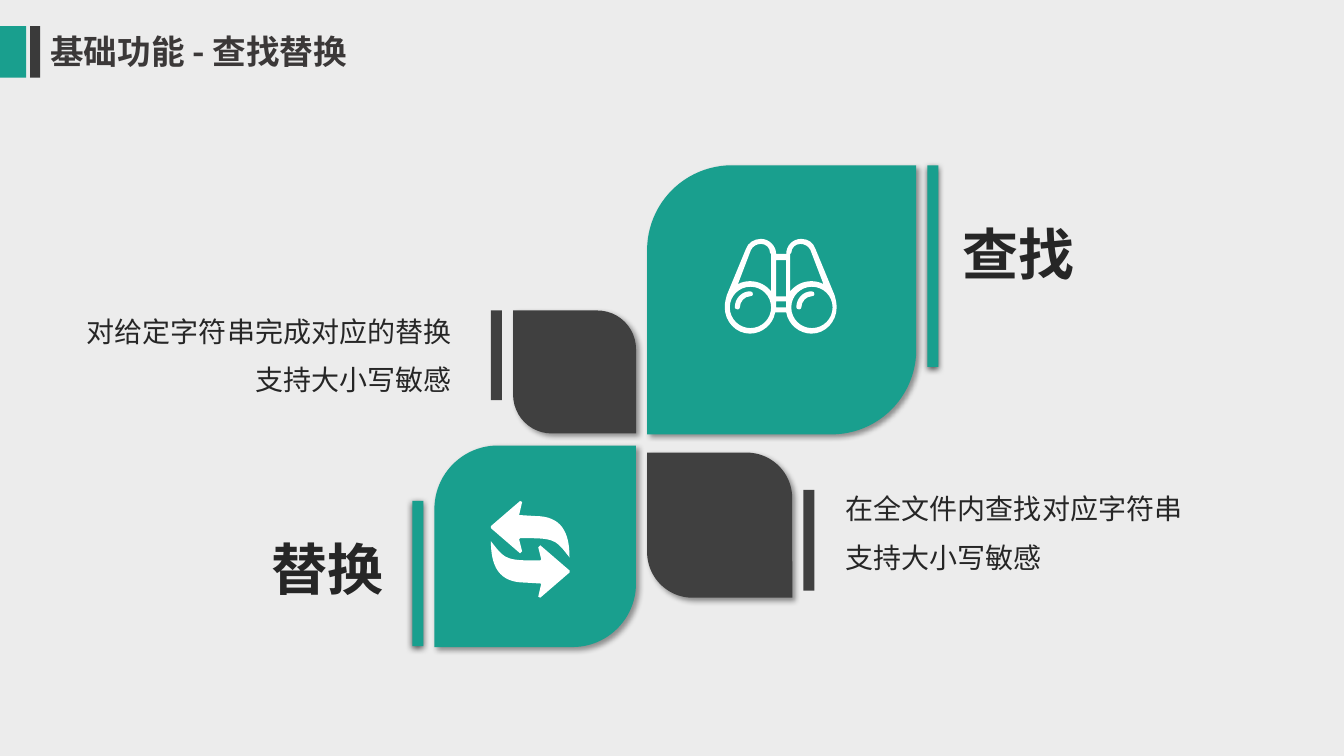
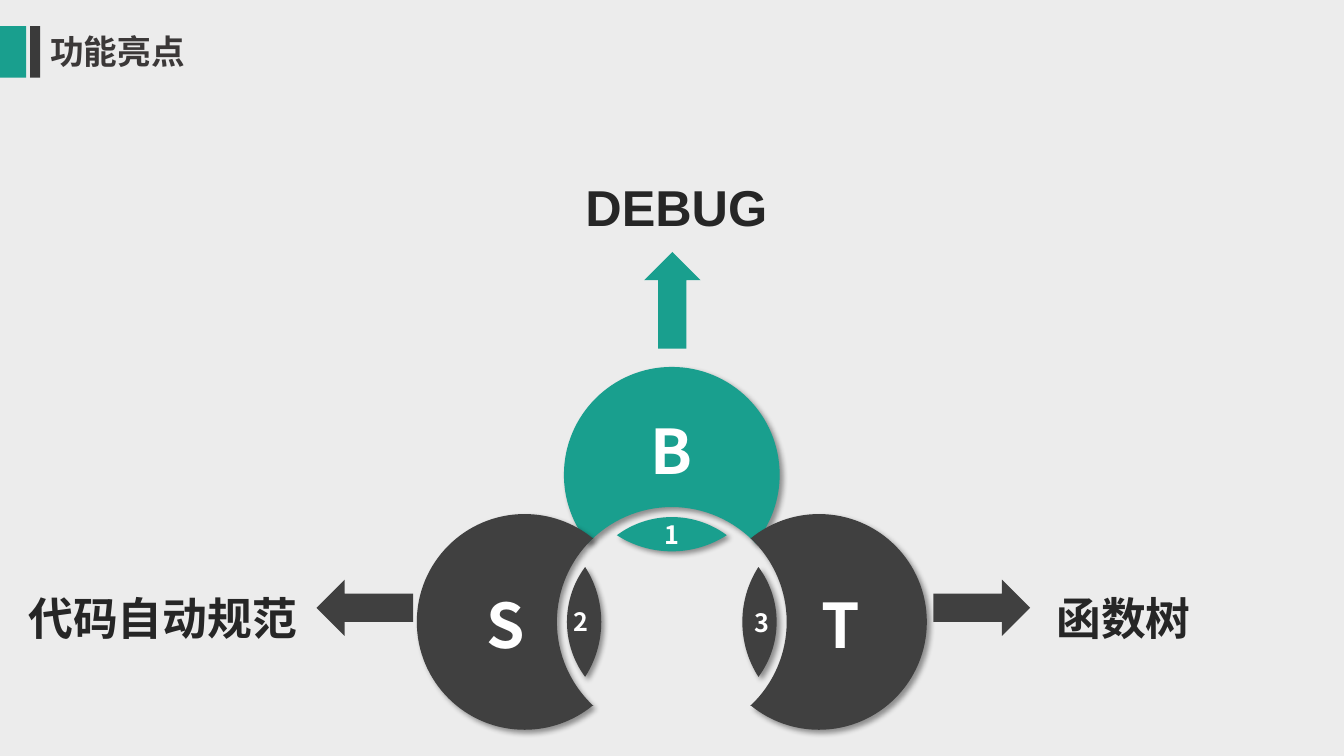
from dataclasses import dataclass
from math import cos, radians, sin, tan

from lxml import etree
from pptx import Presentation
from pptx.dml.color import RGBColor
from pptx.enum.shapes import MSO_SHAPE
from pptx.enum.text import MSO_ANCHOR, MSO_AUTO_SIZE, PP_ALIGN
from pptx.oxml.ns import qn
from pptx.util import Pt

PX = 9144  # one px is a hundredth of an inch
RECTANGLE, LEAF = MSO_SHAPE.RECTANGLE, MSO_SHAPE.ROUND_2_DIAG_RECTANGLE
UP, LEFTWARD, RIGHTWARD = MSO_SHAPE.UP_ARROW, MSO_SHAPE.LEFT_ARROW, MSO_SHAPE.RIGHT_ARROW
LEFT, CENTER, RIGHT = PP_ALIGN.LEFT, PP_ALIGN.CENTER, PP_ALIGN.RIGHT
GROW, FIXED = MSO_AUTO_SIZE.SHAPE_TO_FIT_TEXT, MSO_AUTO_SIZE.NONE
TOP = MSO_ANCHOR.TOP


@dataclass(frozen=True)
class TextStyle:
    size: int
    color: str
    font: str = "Noto Sans CJK SC"
    bold: bool = True
    wrap: bool = True
    inset: bool = True
    auto_size: object = GROW
    line_spacing: float = 1.0
    before: int = 0
    after: int = 0


@dataclass(frozen=True)
class Shadow:
    opacity: int
    blur: float
    distance: float
    angle: int


class Theme:
    background, white = "ECECEC", "FFFFFF"
    teal, dark, band = "199F8E", "404040", "3A3A3A"
    east_asian = "Noto Sans CJK SC"
    title = TextStyle(24, "3B3838")
    heading = TextStyle(40, "262626")
    body = TextStyle(20, "262626", bold=False, inset=False, auto_size=FIXED,
                     line_spacing=1.2, after=6)
    label = TextStyle(32, "262626", "Arial", inset=False, line_spacing=1.2, before=4)
    large_label = TextStyle(36, "262626", "Arial", inset=False, line_spacing=1.2, before=5)
    letter = TextStyle(44, white, wrap=False)
    number = TextStyle(18, white, wrap=False)
    soft_shadow = Shadow(40, 4, 3, 45)
    bar_shadow = Shadow(63, 4.5, 1.5, 90)


# Shared helpers

def emu(*lengths):
    return [round(length * PX) for length in lengths]


def rgb(color):
    return RGBColor.from_string(color)


def paint(shape, fill, shadow=None):
    shape.shadow.inherit = False
    shape.fill.solid()
    shape.fill.fore_color.rgb = rgb(fill)
    shape.line.fill.background()
    if shadow:
        effects = shape._element.spPr.find(qn("a:effectLst"))
        outer = etree.SubElement(
            effects, qn("a:outerShdw"), blurRad=str(Pt(shadow.blur)),
            dist=str(Pt(shadow.distance)), dir=str(shadow.angle * 60000),
            algn="tl", rotWithShape="0")
        color = etree.SubElement(outer, qn("a:srgbClr"), val="000000")
        etree.SubElement(color, qn("a:alpha"), val=str(shadow.opacity * 1000))
    return shape


def add_preset(slide, kind, box, fill, shadow=None):
    return paint(slide.shapes.add_shape(kind, *emu(*box)), fill, shadow)


def is_curve(segment):
    """A curve holds two controls and an end; a line is one (x, y) point."""
    return len(segment) == 3


def move(contour, change):
    """Apply a point function to a start point and its segments."""
    return [tuple(change(*point) for point in part) if is_curve(part) else change(*part)
            for part in contour]


def add_outline(slide, contours, fill, shadow=None):
    """Draw closed contours of lines and cubic curves as one freeform."""
    builder = None
    for start, *segments in contours:
        if builder is None:
            builder = slide.shapes.build_freeform(*emu(*start))
        else:
            builder.move_to(*emu(*start))
        points = [point for segment in segments
                  for point in (segment if is_curve(segment) else (segment,))]
        builder.add_line_segments([emu(*point) for point in points], close=True)
    shape = builder.convert_to_shape()
    lines = iter(list(shape._element.iter(qn("a:lnTo"))))
    for segment in (segment for contour in contours for segment in contour[1:]):
        line = next(lines)
        if is_curve(segment):
            cubic = etree.Element(qn("a:cubicBezTo"))
            line.addprevious(cubic)
            for node in (line, next(lines), next(lines)):
                cubic.append(node[0])
                node.getparent().remove(node)
    return paint(shape, fill, shadow)


def arc(center, radius, *angles):
    """Return a start point and one curve for each step between compass angles."""
    def at(angle, reach=0.0):
        turn = radians(angle)
        return (center[0] + radius * (sin(turn) + reach * cos(turn)),
                center[1] - radius * (cos(turn) - reach * sin(turn)))

    contour = [at(angles[0])]
    for start, end in zip(angles, angles[1:]):
        reach = 4 / 3 * tan(radians(end - start) / 4)
        contour.append((at(start, reach), at(end, -reach), at(end)))
    return contour


def format_frame(frame, style, align):
    frame.word_wrap = style.wrap
    frame.auto_size = style.auto_size
    if not style.inset:
        frame.margin_left = frame.margin_right = frame.margin_top = frame.margin_bottom = 0
    for paragraph in frame.paragraphs:
        paragraph.alignment = align
        paragraph.line_spacing = style.line_spacing
        paragraph.space_before, paragraph.space_after = Pt(style.before), Pt(style.after)
        for run in paragraph.runs:
            font = run.font
            font.name, font.size, font.bold = style.font, Pt(style.size), style.bold
            font.color.rgb = rgb(style.color)
            east_asian = etree.Element(qn("a:ea"), typeface=Theme.east_asian)
            run._r.rPr.find(qn("a:latin")).addnext(east_asian)


def add_text(slide, box, text, style, align=LEFT):
    frame = slide.shapes.add_textbox(*emu(*box)).text_frame
    frame.text = text
    format_frame(frame, style, align)


# Layout and titles

def prepare_layout(presentation):
    fill = presentation.slide_master.background.fill
    fill.solid()
    fill.fore_color.rgb = rgb(Theme.background)
    layout = presentation.slide_layouts.get_by_name("Title Only")
    title = next(shape for shape in layout.placeholders if shape.placeholder_format.idx == 0)
    title.left, title.top, title.width, title.height = emu(40, 26, 369, 50)
    title.text_frame.vertical_anchor = TOP
    return layout


def add_bands(slide, layout):
    """Draw the two title bands and hand them to the layout."""
    for box, color in (((0, 26, 26, 51), Theme.teal), ((30, 26, 10, 51), Theme.band)):
        band = add_preset(slide, RECTANGLE, box, color)
        layout.shapes._spTree.append(band._element)


def set_title(slide, text):
    frame = slide.shapes.title.text_frame
    frame.text = text
    format_frame(frame, Theme.title, LEFT)


# Slide 1: four leaves

def draw_leaf(slide, box, color, bar_side, bar_span, bar_shadow=None):
    """Draw a square leaf and the bar at its left (-1) or right (1)."""
    left, top, size = box
    gap = bar_width = 11
    leaf = add_preset(slide, LEAF, (left, top, size, size), color, Theme.soft_shadow)
    corners = (0.315, 0) if color == Theme.teal else (0, 0.315)
    leaf.adjustments[0], leaf.adjustments[1] = corners
    bar_left = left + size + gap if bar_side > 0 else left - gap - bar_width
    offset, height = bar_span
    add_preset(slide, RECTANGLE, (bar_left, top + offset, bar_width, height),
               color, bar_shadow)


def draw_swap_icon(slide, left, top):
    width, height = 78, 96
    arrow = [(28, 14), (31, 1), (29, 0), (0, 25), (0, 27), (29, 52), (31, 50), (28, 38),
             (29, 37), (39, 37), ((65, 37), (66, 41), (78, 56)),
             ((78, 31), (70, 15), (44, 15))]
    turned = move(arrow, lambda x, y: (width - x, height - y))
    add_outline(slide, [move(contour, lambda x, y: (left + x, top + y))
                        for contour in (arrow, turned)], Theme.white)


def draw_binoculars(slide, left, top):
    width, lens_gap = 111, 61
    silhouette = [
        (109, 56), (90, 10), ((88, 4), (83, 0), (76, 0)), ((67, 0), (61, 7), (61, 15)),
        (51, 15), ((51, 7), (44, 0), (36, 0)), ((29, 0), (23, 4), (21, 10)), (2, 56),
        ((1, 60), (0, 63), (0, 68)), ((0, 82), (11, 94), (25, 94)),
        ((37, 94), (48, 85), (50, 73)), (61, 73), ((63, 85), (74, 94), (86, 94)),
        ((100, 94), (111, 82), (111, 68)), ((111, 63), (110, 60), (109, 56))]
    tube = [(46, 52), ((41, 46), (34, 42), (25, 42)), ((21, 42), (16, 43), (13, 45)),
            (26, 11), ((28, 7), (32, 5), (36, 5)), ((41, 5), (45, 9), (45, 14)), (46, 15)]
    glint = [(25, 52), ((17, 52), (10, 59), (10, 68)), ((10, 69), (11, 70), (13, 70)),
             ((14, 70), (15, 69), (15, 68)), ((15, 62), (20, 57), (25, 57)),
             ((27, 57), (28, 56), (28, 55)), ((28, 53), (27, 52), (25, 52))]
    lens = arc((25.5, 68), 20.5, 0, 90, 180, 270, 360)
    bridges = [[(51, y), (61, y), (61, end), (51, end)] for y, end in ((21, 57), (62, 68))]
    contours = [silhouette, tube, move(tube, lambda x, y: (width - x, y)), *bridges]
    for part in (lens, glint):
        contours += [part, move(part, lambda x, y: (x + lens_gap, y))]
    add_outline(slide, [move(contour, lambda x, y: (left + x, top + y))
                        for contour in contours], Theme.white)


def build_find_replace(slide):
    set_title(slide, "基础功能 - 查找替换")
    draw_leaf(slide, (642, 164, 267), Theme.teal, 1, (0, 200), Theme.bar_shadow)
    draw_leaf(slide, (431, 442, 200), Theme.teal, -1, (55, 144), Theme.bar_shadow)
    draw_leaf(slide, (509, 308, 122), Theme.dark, -1, (0, 89))
    draw_leaf(slide, (642, 449, 144), Theme.dark, 1, (37, 100))
    draw_swap_icon(slide, 487, 497)
    add_text(slide, (945, 213, 184, 77), "查找", Theme.heading)
    add_text(slide, (839, 481, 348, 112), "在全文件内查找对应字符串\n支持大小写敏感", Theme.body)
    add_text(slide, (76, 305, 372, 102), "对给定字符串完成对应的替换\n支持大小写敏感",
             Theme.body, RIGHT)
    add_text(slide, (206, 525, 184, 77), "替换", Theme.heading, RIGHT)
    draw_binoculars(slide, 719, 237)


# Slide 2: three petals around a hub

def draw_petal(slide, hub, bearing, color):
    """Draw a bitten disc and its lens, pointing from the hub along the bearing."""
    def hub_arc(distance, radius, *angles):
        turn = radians(bearing)
        center = hub[0] + distance * sin(turn), hub[1] - distance * cos(turn)
        return arc(center, radius, *(bearing + angle for angle in angles))

    disc = hub_arc(146, 107, -129, -90, 0, 90, 129) + hub_arc(0, 114, 47, 0, -47)
    lens = hub_arc(12.5, 91.5, -36.5, 0, 36.5) + hub_arc(171, 101, 147.4, 180, 212.6)
    for contour in (disc, lens):
        add_outline(slide, [contour], color, Theme.soft_shadow)


def add_mark(slide, hub, text, offset, size, style):
    """Centre a letter or number at an offset from the hub."""
    width, height = size
    left, top = hub[0] + offset[0] - width / 2, hub[1] + offset[1] - height / 2
    add_text(slide, (left, top, width, height), text, style, CENTER)


def build_highlights(slide):
    set_title(slide, "功能亮点")
    hub = (666.5, 617)
    for bearing, color in ((0, Theme.teal), (-90, Theme.dark), (90, Theme.dark)):
        draw_petal(slide, hub, bearing, color)
    for kind, box, color in ((UP, (639, 250, 56, 96), Theme.teal),
                             (LEFTWARD, (314, 575, 96, 56), Theme.dark),
                             (RIGHTWARD, (926, 575, 96, 56), Theme.dark)):
        add_preset(slide, kind, box, color)
    add_text(slide, (1048, 575, 140, 59), "函数树", Theme.label)
    add_text(slide, (577, 163, 188, 66), "DEBUG", Theme.large_label, CENTER)
    add_text(slide, (27, 575, 268, 59), "代码自动规范", Theme.label, RIGHT)
    for text, offset in (("1", (0, -87)), ("2", (-90, 0)), ("3", (89, 1))):
        add_mark(slide, hub, text, offset, (36, 40), Theme.number)
    for text, offset in (("B", (-1, -170)), ("T", (168, 2)), ("S", (-165, 2))):
        add_mark(slide, hub, text, offset, (60, 84), Theme.letter)


def main():
    presentation = Presentation()
    presentation.slide_width, presentation.slide_height = emu(1333.33, 750)
    layout = prepare_layout(presentation)
    slides = [presentation.slides.add_slide(layout) for _ in range(2)]
    add_bands(slides[0], layout)
    build_find_replace(slides[0])
    build_highlights(slides[1])
    presentation.save("out.pptx")


if __name__ == "__main__":
    main()
